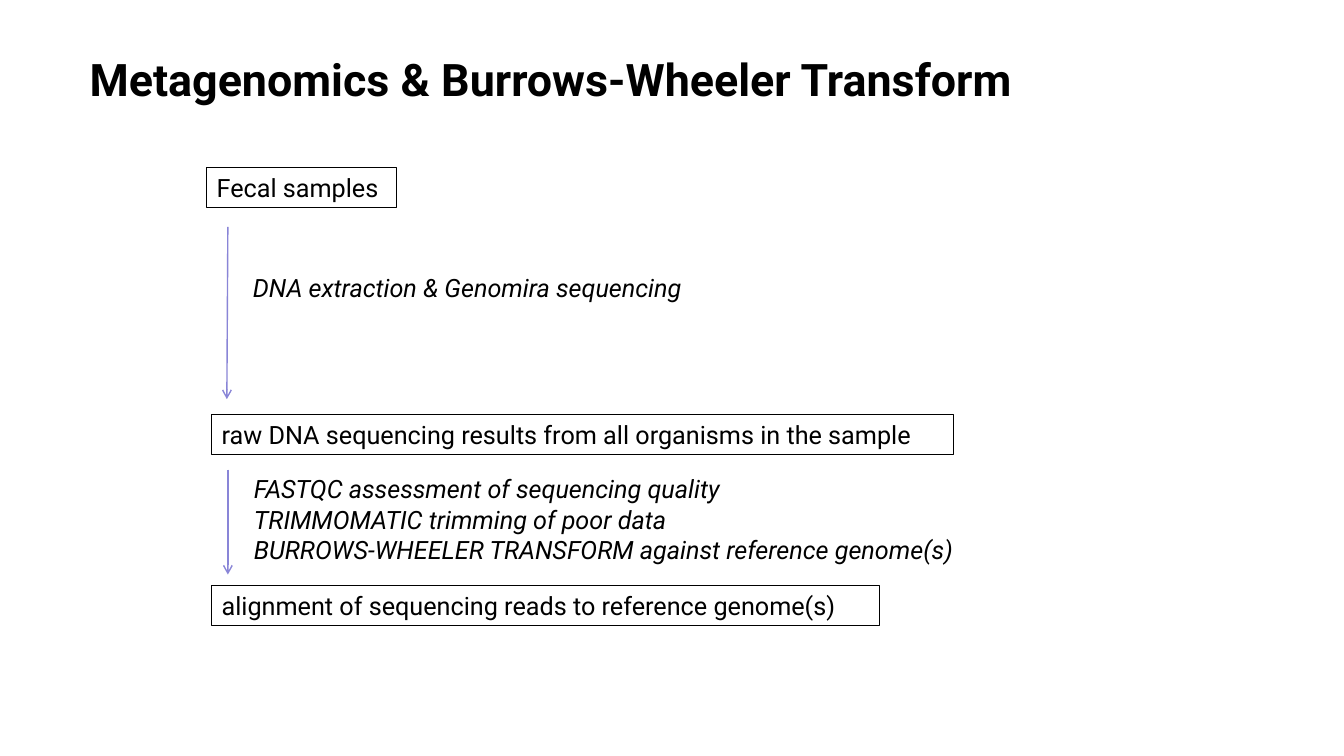
"""Build a slide showing the metagenomics sequencing workflow."""
from lxml.etree import SubElement
from pptx import Presentation
from pptx.dml.color import RGBColor
from pptx.enum.shapes import MSO_CONNECTOR
from pptx.enum.text import MSO_ANCHOR
from pptx.oxml.ns import qn
from pptx.util import Inches, Pt

TITLE = ("Metagenomics & Burrows-Wheeler Transform", 0.79, 0.46, 11.59, 1.39)
STAGES = [
    ("Fecal samples", 2.05, 1.66, 1.88, 0.4),
    ("raw DNA sequencing results from all organisms in the sample", 2.1, 4.11, 7.36, 0.4),
    ("alignment of sequencing reads to reference genome(s)", 2.1, 5.81, 6.62, 0.4),
]
METHODS = [
    ("DNA extraction & Genomira sequencing", 2.41, 2.65, 4.55, 0.4),
    ("FASTQC assessment of sequencing quality\n"
     "TRIMMOMATIC trimming of poor data\n"
     "BURROWS-WHEELER TRANSFORM against reference genome(s)", 2.42, 4.65, 7.93, 1.01),
]
ARROWS = [(2.26, 2.25, 2.25, 3.96), (2.26, 4.66, 2.26, 5.7)]


def color(value):
    return RGBColor.from_string(value)


def add_text(page, content, size=18, bold=False, italic=False):
    text, *bounds = content
    box = page.shapes.add_textbox(*map(Inches, bounds))
    frame = box.text_frame
    frame.word_wrap = True
    frame.vertical_anchor = MSO_ANCHOR.TOP
    frame.text = text
    for para in frame.paragraphs:
        font = para.font
        font.name, font.size = "Roboto", Pt(size)
        font.bold, font.italic = bold, italic
        font.color.rgb = color("000000")
    return box


def add_stage(page, content):
    box = add_text(page, content)
    box.line.color.rgb = color("000000")
    box.line.width = Pt(0.75)


def add_arrow(page, ends):
    arrow = page.shapes.add_connector(MSO_CONNECTOR.STRAIGHT, *map(Inches, ends))
    arrow.line.color.rgb = color("8985D7")
    arrow.line.width = Pt(1)
    SubElement(arrow.line._get_or_add_ln(), qn("a:tailEnd"), type="arrow")
    SubElement(arrow._element.spPr, qn("a:effectLst"))


def main():
    deck = Presentation()
    deck.slide_width, deck.slide_height = Inches(13.33), Inches(7.5)
    page = deck.slides.add_slide(deck.slide_layouts[6])
    add_text(page, TITLE, size=32, bold=True)
    for stage in STAGES:
        add_stage(page, stage)
    for ends, method in zip(ARROWS, METHODS):
        add_arrow(page, ends)
        add_text(page, method, italic=True)
    deck.save("out.pptx")


if __name__ == "__main__":
    main()
